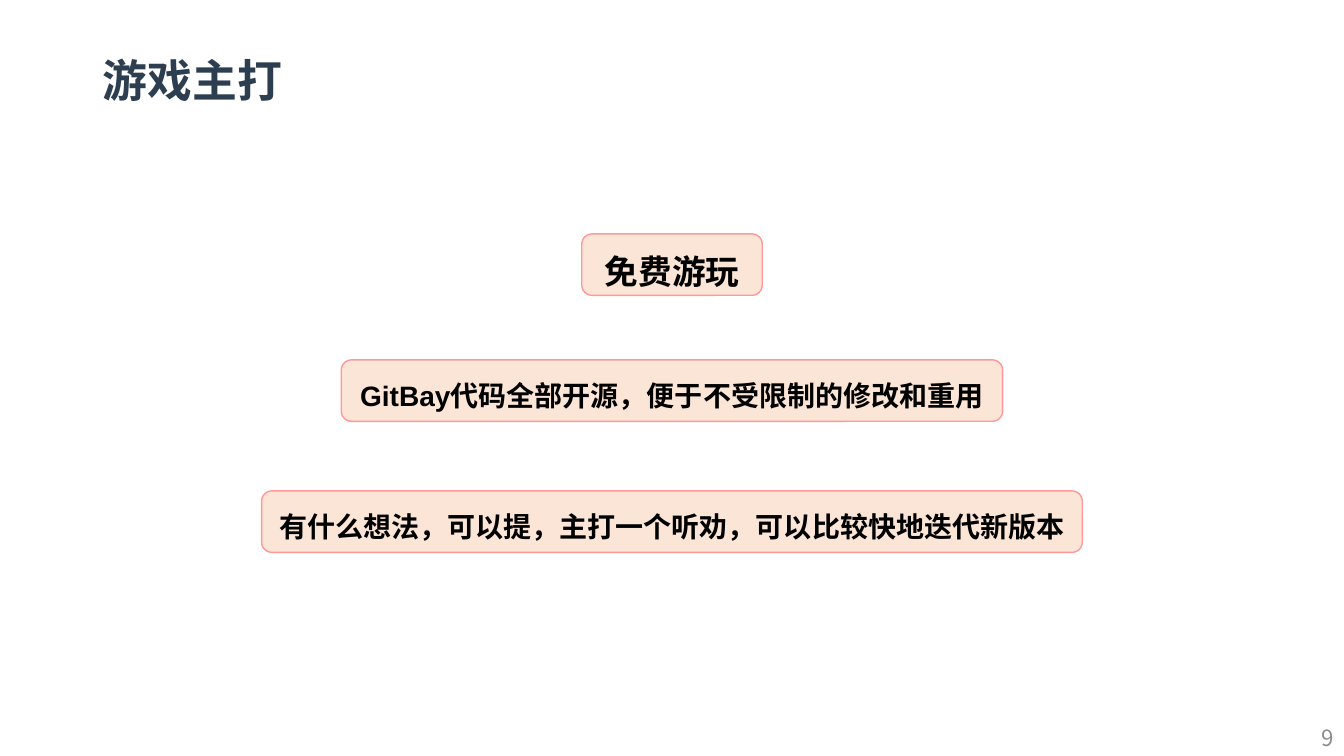
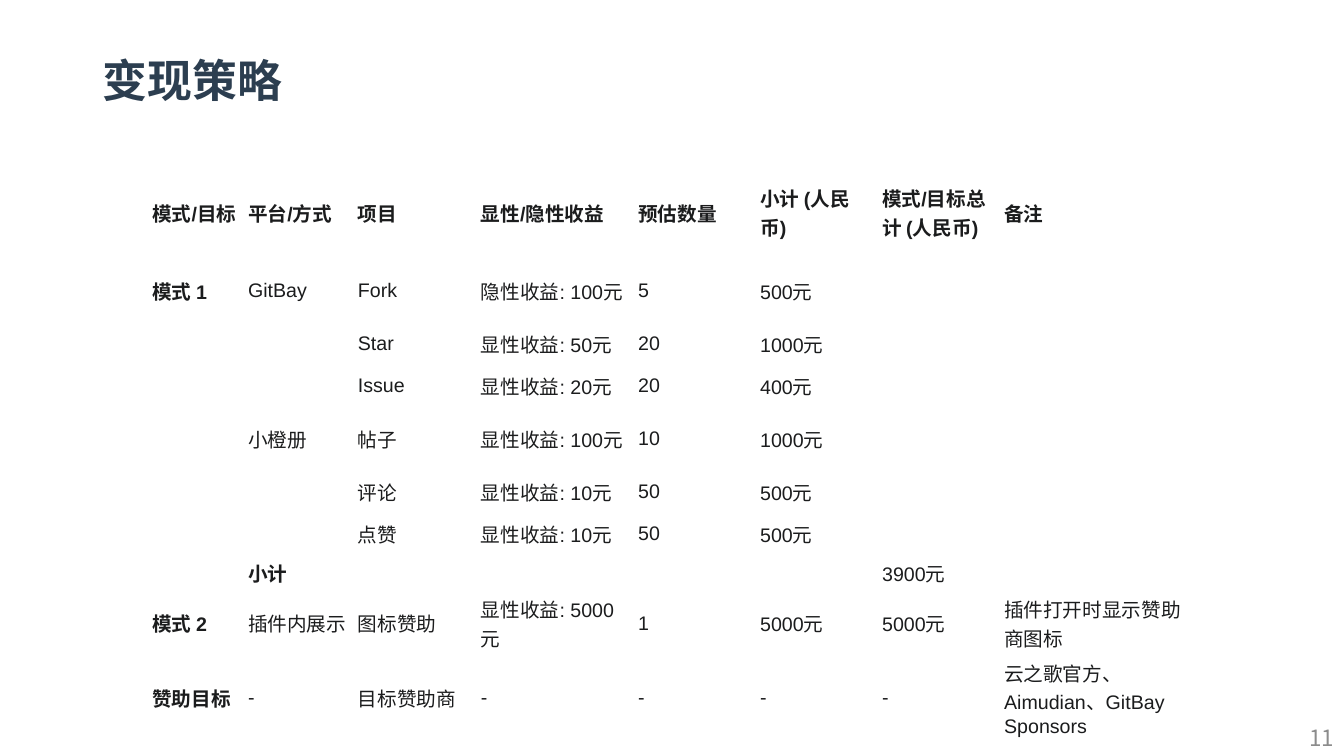
from dataclasses import dataclass

from lxml import etree
from pptx import Presentation
from pptx.dml.color import RGBColor
from pptx.enum.shapes import MSO_SHAPE as Shape
from pptx.enum.text import MSO_ANCHOR as Anchor, PP_ALIGN as Align
from pptx.oxml.ns import qn
from pptx.util import Inches, Pt


@dataclass(frozen=True)
class Theme:
    heading_font: str = "Noto Sans CJK SC"
    body_font: str = "Arial"
    title: str = "2C3E50"
    page: str = "8C8C8C"
    ink: str = "000000"
    table_ink: str = "1B1C1D"
    card: str = "FBE5D6"
    card_line: str = "FF9999"
    grid: str = "FFFFFF"
    title_size: int = 32
    page_size: int = 16
    table_size: int = 14


THEME = Theme()
SLIDE_W, SLIDE_H = 13.33, 7.5

FEATURES = {
    "title": "游戏主打",
    "page": 9,
    # text, top, width, size, font
    "cards": [
        ("免费游玩", 2.32, 1.79, 24, THEME.heading_font),
        ("GitBay代码全部开源，便于不受限制的修改和重用", 3.57, 6.56, 20, THEME.body_font),
        ("有什么想法，可以提，主打一个听劝，可以比较快地迭代新版本", 4.87, 8.14, 20,
         THEME.body_font),
    ],
}
CARD_H = 0.61

REVENUE = {
    "title": "变现策略",
    "page": 11,
    "header": ["模式/目标", "平台/方式", "项目", "显性/隐性收益", "预估数量",
               "小计 (人民币)", "模式/目标总计 (人民币)", "备注"],
    "rows": [
        ["模式 1", "GitBay", "Fork", "隐性收益: 100元", "5", "500元", "", ""],
        ["", "", "Star", "显性收益: 50元", "20", "1000元", "", ""],
        ["", "", "Issue", "显性收益: 20元", "20", "400元", "", ""],
        ["", "小橙册", "帖子", "显性收益: 100元", "10", "1000元", "", ""],
        ["", "", "评论", "显性收益: 10元", "50", "500元", "", ""],
        ["", "", "点赞", "显性收益: 10元", "50", "500元", "", ""],
        ["", "小计", "", "", "", "", "3900元", ""],
        ["模式 2", "插件内展示", "图标赞助", "显性收益: 5000元", "1", "5000元", "5000元",
         "插件打开时显示赞助商图标"],
        ["赞助目标", "-", "目标赞助商", "-", "-", "-", "-",
         "云之歌官方、Aimudian、GitBay Sponsors"],
    ],
}
SUBTOTAL = "小计"
COLUMN_WIDTHS = [0.95, 1.09, 1.22, 1.56, 1.21, 1.21, 1.21, 1.96]
ONE_LINE, TWO_LINES = 0.42, 0.63
ROW_HEIGHTS = [0.92, TWO_LINES, ONE_LINE, ONE_LINE, TWO_LINES, ONE_LINE, ONE_LINE,
               0.36, TWO_LINES, 0.85]


def rgb(value):
    return RGBColor.from_string(value)


def write(frame, text, size, color, font, bold=False, align=None, spacing=None):
    paragraph = frame.paragraphs[0]
    if text:
        paragraph.add_run().text = text
    if align is not None:
        paragraph.alignment = align
    if spacing:
        paragraph.line_spacing = spacing
    style = paragraph.font
    style.size, style.bold, style.name = Pt(size), bold, font
    style.color.rgb = rgb(color)
    defaults = paragraph._p.find(qn("a:pPr")).find(qn("a:defRPr"))
    etree.SubElement(defaults, qn("a:ea")).set("typeface", THEME.heading_font)


def add_page(deck, content):
    """Add a blank slide with the shared title and page number."""
    slide = deck.slides.add_slide(deck.slide_layouts[6])
    title = slide.shapes.add_textbox(Inches(0.92), Inches(0.53), Inches(12.29), Inches(0.77))
    title.text_frame.word_wrap = True
    write(title.text_frame, content["title"], THEME.title_size, THEME.title,
          THEME.heading_font, bold=True, spacing=0.9)

    width, height = 0.47, 0.37
    number = slide.shapes.add_textbox(Inches(SLIDE_W - width), Inches(SLIDE_H - height),
                                      Inches(width), Inches(height))
    number.text_frame.word_wrap = False
    number.text_frame.vertical_anchor = Anchor.MIDDLE
    write(number.text_frame, str(content["page"]), THEME.page_size, THEME.page,
          THEME.heading_font, align=Align.RIGHT)
    return slide


def add_card(slide, text, top, width, size, font):
    card = slide.shapes.add_shape(Shape.ROUNDED_RECTANGLE, Inches((SLIDE_W - width) / 2),
                                  Inches(top), Inches(width), Inches(CARD_H))
    card.shadow.inherit = False
    card.fill.solid()
    card.fill.fore_color.rgb = rgb(THEME.card)
    card.line.color.rgb = rgb(THEME.card_line)
    card.line.width = Pt(1)
    card.text_frame.word_wrap = True
    card.text_frame.vertical_anchor = Anchor.MIDDLE
    write(card.text_frame, text, size, THEME.ink, font, bold=True,
          align=Align.CENTER, spacing=1.3)


def set_borders(cell):
    properties = cell._tc.get_or_add_tcPr()
    for position, side in enumerate(("lnL", "lnR", "lnT", "lnB")):
        line = etree.Element(qn(f"a:{side}"), w=str(Pt(0.5)))
        fill = etree.SubElement(line, qn("a:solidFill"))
        etree.SubElement(fill, qn("a:srgbClr")).set("val", THEME.grid)
        properties.insert(position, line)


def add_revenue_table(slide, rows):
    table = slide.shapes.add_table(
        len(rows), len(COLUMN_WIDTHS), Inches(1.46), Inches(1.65),
        Inches(sum(COLUMN_WIDTHS)), Inches(sum(ROW_HEIGHTS))).table
    table.first_row = table.horz_banding = False
    for column, width in zip(table.columns, COLUMN_WIDTHS):
        column.width = Inches(width)
    for row, height in zip(table.rows, ROW_HEIGHTS):
        row.height = Inches(height)
    for r, texts in enumerate(rows):
        for c, text in enumerate(texts):
            cell = table.cell(r, c)
            cell.fill.background()
            cell.vertical_anchor = Anchor.MIDDLE
            cell.margin_left = cell.margin_right = Inches(0.05)
            cell.margin_top = cell.margin_bottom = Inches(0.03)
            write(cell.text_frame, text, THEME.table_size, THEME.table_ink,
                  THEME.body_font, bold=r == 0 or c == 0 or text == SUBTOTAL)
            set_borders(cell)


def main():
    deck = Presentation()
    deck.slide_width, deck.slide_height = Inches(SLIDE_W), Inches(SLIDE_H)

    features = add_page(deck, FEATURES)
    for card in FEATURES["cards"]:
        add_card(features, *card)

    revenue = add_page(deck, REVENUE)
    add_revenue_table(revenue, [REVENUE["header"], *REVENUE["rows"]])

    deck.save("out.pptx")


if __name__ == "__main__":
    main()
